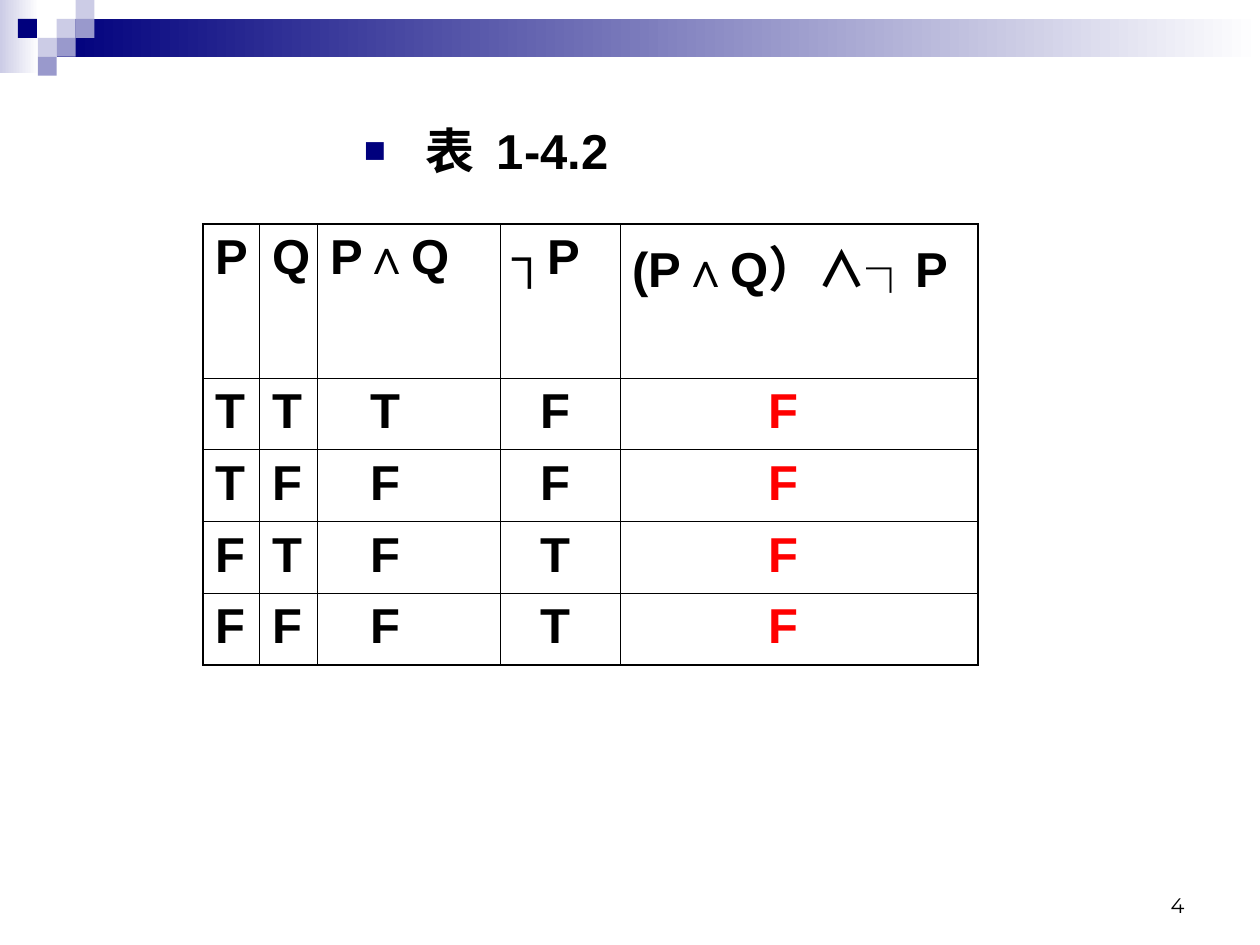
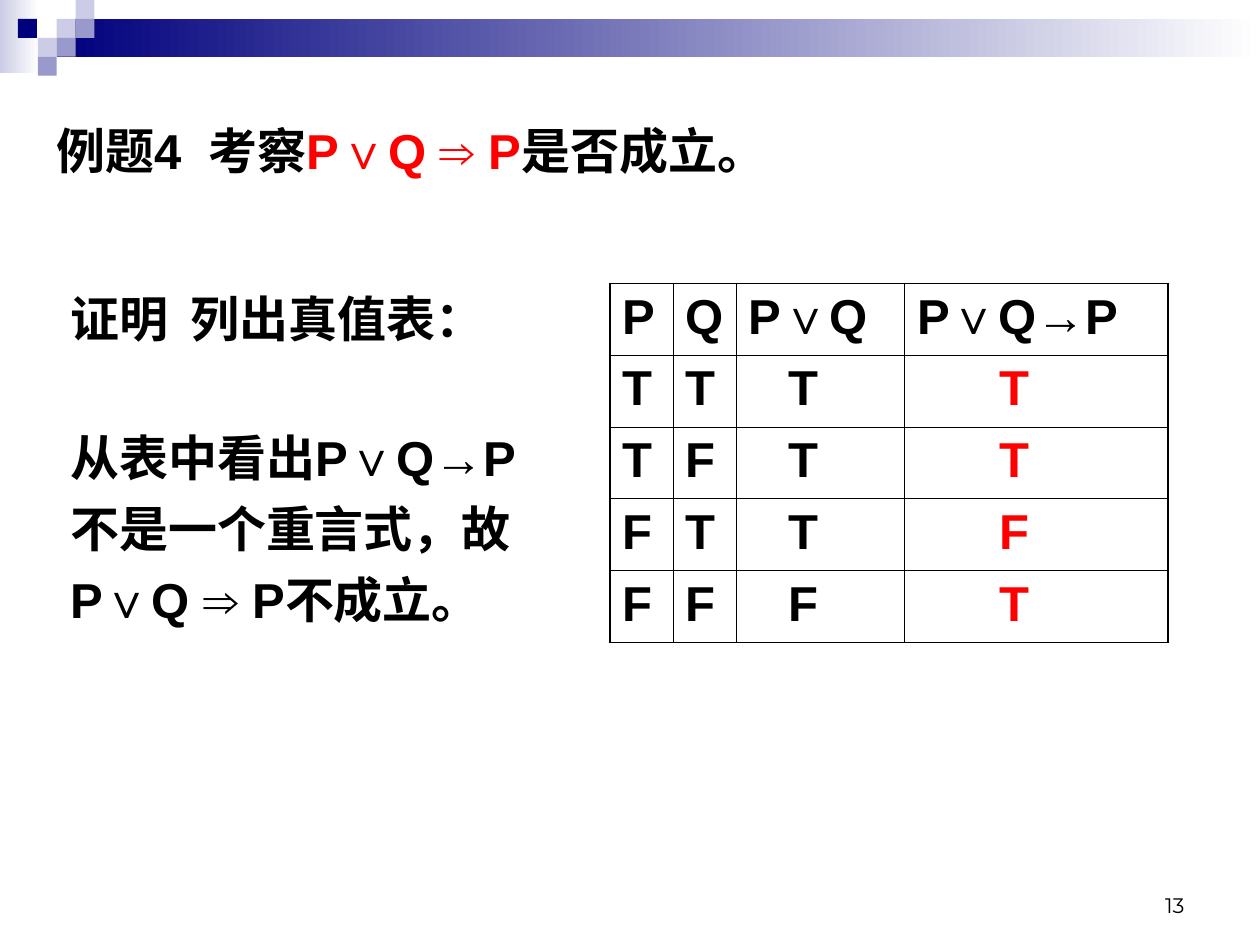
import pptx
import pptx.dml.color
import pptx.enum.shapes
import pptx.enum.text
import pptx.oxml.ns
import pptx.util
from lxml import etree

Inches = pptx.util.Inches
Pt = pptx.util.Pt
RGB = pptx.dml.color.RGBColor
ALIGN = pptx.enum.text.PP_ALIGN
ANCHOR = pptx.enum.text.MSO_ANCHOR
qn = pptx.oxml.ns.qn

NAVY = RGB(0x00, 0x00, 0x7D)
LILAC = RGB(0x99, 0x99, 0xCC)
PALE = RGB(0xCC, 0xCC, 0xE6)
WHITE = RGB(0xFF, 0xFF, 0xFF)
BLACK = RGB(0x00, 0x00, 0x00)
RED = RGB(0xFF, 0x00, 0x00)

TEXT_FONT = "Arial"
NUMBER_FONT = "Montserrat"
OUTER_LINE, INNER_LINE = 1.08, 0.45
SQUARE = 0.15
ROW_HEIGHT = 0.57


def add_text(p, text, size=28, font=TEXT_FONT, color=BLACK, bold=True):
    r = p.add_run()
    r.text = text
    r.font.size = Pt(size)
    r.font.name = font
    r.font.color.rgb = color
    r.font.bold = bold


def add_box(slide, left, top, width, height):
    tf = slide.shapes.add_textbox(
        Inches(left), Inches(top), Inches(width), Inches(height)).text_frame
    tf.word_wrap = True
    return tf


def indent(p, left, first=0):
    pPr = p._p.get_or_add_pPr()
    pPr.set("marL", str(Inches(left)))
    pPr.set("indent", str(Inches(first)))
    return pPr


def add_bullet(p):
    pPr = indent(p, 0.49, -0.49)
    color = etree.SubElement(pPr, qn("a:buClr"))
    etree.SubElement(color, qn("a:srgbClr"), val=str(NAVY))
    etree.SubElement(pPr, qn("a:buSzPct"), val="75000")
    etree.SubElement(pPr, qn("a:buFont"), typeface=TEXT_FONT)
    etree.SubElement(pPr, qn("a:buChar"), char="■")


def add_rect(slide, left, top, width, height, color, fade=False):
    sp = slide.shapes.add_shape(
        pptx.enum.shapes.MSO_SHAPE.RECTANGLE,
        Inches(left), Inches(top), Inches(width), Inches(height))
    sp.shadow.inherit = False
    sp.line.fill.background()
    if fade:
        sp.fill.gradient()
        sp.fill.gradient_angle = 0
        for stop, shade in zip(sp.fill.gradient_stops, (color, WHITE)):
            stop.color.rgb = shade
    else:
        sp.fill.solid()
        sp.fill.fore_color.rgb = color


def add_header_band(slide):
    add_rect(slide, 0, 0, 0.31, 0.58, PALE, fade=True)
    add_rect(slide, 0.45, SQUARE, 9.55, 2 * SQUARE, NAVY, fade=True)
    squares = [(3, 1, PALE), (4, 0, PALE), (4, 1, LILAC), (2, 2, PALE),
               (0.95, 1, NAVY), (3, 2, LILAC), (2, 3, LILAC)]
    for col, row, color in squares:
        add_rect(slide, col * SQUARE, row * SQUARE, SQUARE, SQUARE, color)


def add_slide_number(slide, number):
    tf = add_box(slide, 7.17, 6.83, 2.33, 0.5)
    tf.vertical_anchor = ANCHOR.BOTTOM
    p = tf.paragraphs[0]
    p.alignment = ALIGN.RIGHT
    add_text(p, number, size=12, font=NUMBER_FONT, bold=False)


def new_slide(prs, number):
    slide = prs.slides.add_slide(prs.slide_layouts[6])
    add_header_band(slide)
    add_slide_number(slide, number)
    return slide


def set_borders(cell, **widths):
    tcPr = cell._tc.get_or_add_tcPr()
    for side in "LRTB":
        ln = etree.SubElement(tcPr, qn(f"a:ln{side}"), w=str(Pt(widths[side])))
        fill = etree.SubElement(ln, qn("a:solidFill"))
        etree.SubElement(fill, qn("a:srgbClr"), val=str(BLACK))


def add_truth_table(slide, left, top, widths, indents, header, rows,
                    header_height=ROW_HEIGHT):
    """Draw a header and rows of T/F letters, with the last column in red."""
    heights = [header_height] + [ROW_HEIGHT] * len(rows)
    table = slide.shapes.add_table(
        len(heights), len(widths), Inches(left), Inches(top),
        Inches(sum(widths)), Inches(sum(heights))).table
    table.first_row = table.horz_banding = False
    for column, width in zip(table.columns, widths):
        column.width = Inches(width)
    for row, height in zip(table.rows, heights):
        row.height = Inches(height)

    last_row, last_col = len(rows), len(widths) - 1
    for i, values in enumerate([header, *rows]):
        for j, value in enumerate(values):
            cell = table.cell(i, j)
            set_borders(cell,
                        L=INNER_LINE if j else OUTER_LINE,
                        R=INNER_LINE if j < last_col else OUTER_LINE,
                        T=INNER_LINE if i else OUTER_LINE,
                        B=INNER_LINE if i < last_row else OUTER_LINE)
            cell.fill.background()
            p = cell.text_frame.paragraphs[0]
            p.space_before = Pt(7)
            if i and indents[j]:
                indent(p, indents[j])
            add_text(p, value, color=RED if i and j == last_col else BLACK)


def add_caption(slide, left, top, width, height):
    p = add_box(slide, left, top, width, height).paragraphs[0]
    add_bullet(p)
    add_text(p, "表  1-4.2")


def add_question(slide, left, top, width, height):
    tf = add_box(slide, left, top, width, height)
    tf.auto_size = pptx.enum.text.MSO_AUTO_SIZE.SHAPE_TO_FIT_TEXT
    p = tf.paragraphs[0]
    p.space_before = Pt(17.5)
    add_text(p, "例题4  考察")
    add_text(p, "P∨Q ⇒ P", color=RED)
    add_text(p, "是否成立。")


def add_proof(slide, left, top, width, height):
    tf = add_box(slide, left, top, width, height)
    lines = [("证明  列出真值表：", 7), ("从表中看出P∨Q→P", 46),
             ("不是一个重言式，故", 7), ("P∨Q ⇒ P不成立。", 7)]
    for i, (text, gap) in enumerate(lines):
        p = tf.add_paragraph() if i else tf.paragraphs[0]
        p.space_before = Pt(gap)
        indent(p, 0.11)
        add_text(p, text)


def build_contradiction_slide(prs):
    slide = new_slide(prs, "4")
    add_caption(slide, 2.79, 0.91, 4.42, 0.87)
    add_truth_table(slide, 1.61, 1.78,
                    widths=[0.45, 0.46, 1.45, 0.95, 2.84],
                    indents=[0, 0, 0.32, 0.22, 1.08],
                    header=["P", "Q", "P∧Q", "┐P", "(P∧Q）∧┐P"],
                    rows=["TTTFF", "TFFFF", "FTFTF", "FFFTF"],
                    header_height=1.22)


def build_implication_slide(prs):
    slide = new_slide(prs, "13")
    add_proof(slide, 0.35, 2.24, 4.42, 3.71)
    add_truth_table(slide, 4.84, 2.25,
                    widths=[0.5, 0.5, 1.34, 2.09],
                    indents=[0, 0, 0.32, 0.65],
                    header=["P", "Q", "P∨Q", "P∨Q→P"],
                    rows=["TTTT", "TFTT", "FTTF", "FFFT"])
    add_question(slide, 0.35, 0.91, 6.08, 0.57)


def main():
    prs = pptx.Presentation()
    prs.slide_width, prs.slide_height = Inches(10), Inches(7.5)
    build_contradiction_slide(prs)
    build_implication_slide(prs)
    prs.save("out.pptx")


if __name__ == "__main__":
    main()
